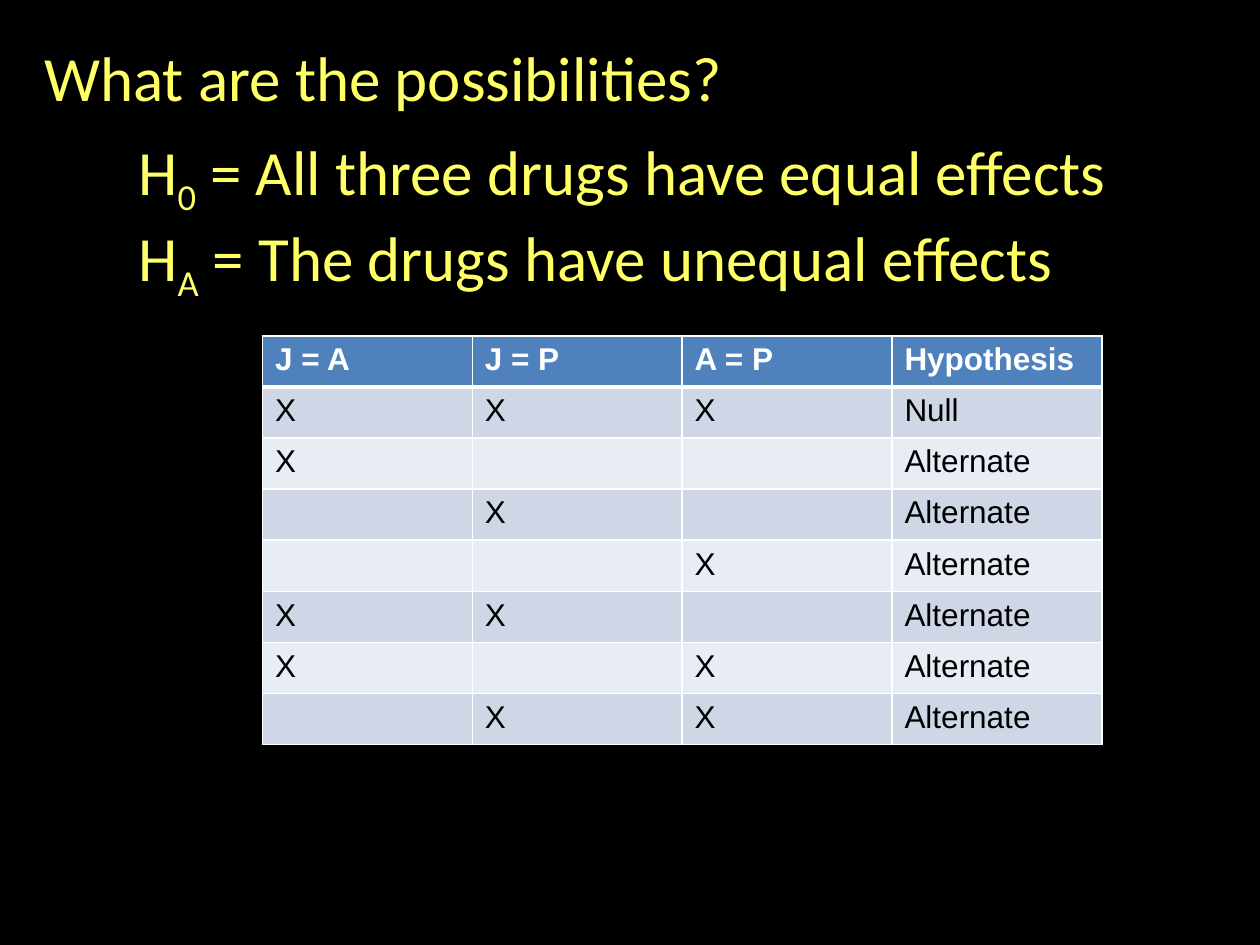
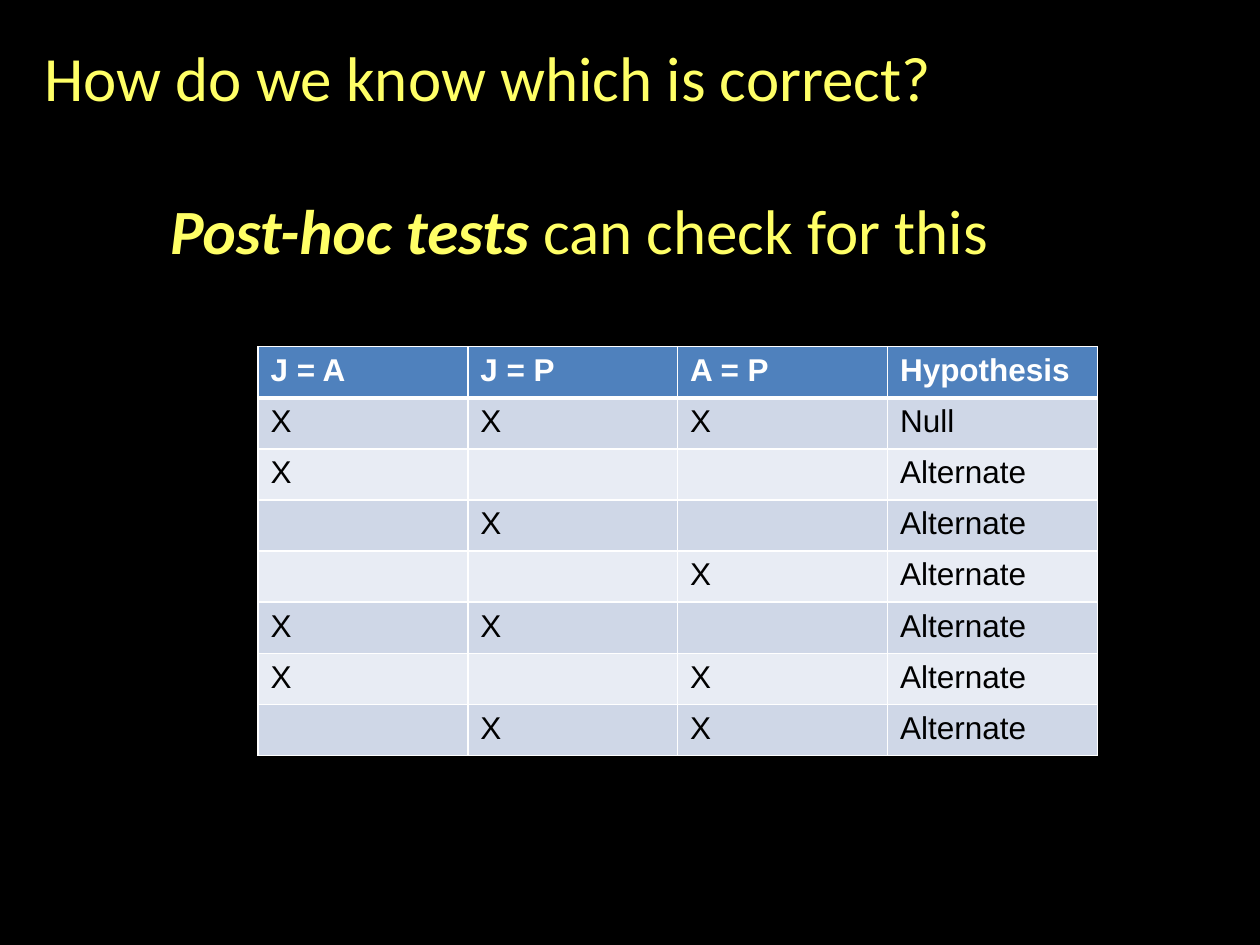
from lxml import etree
from pptx import Presentation, util as u
from pptx.dml.color import RGBColor
from pptx.enum import text
from pptx.oxml import ns

BLACK = RGBColor(0x00, 0x00, 0x00)
WHITE = RGBColor(0xFF, 0xFF, 0xFF)
YELLOW = RGBColor(0xFF, 0xFF, 0x66)
HEADER_BLUE = RGBColor(0x4F, 0x81, 0xBD)
BANDS = [RGBColor(0xCF, 0xD7, 0xE7), RGBColor(0xE8, 0xEC, 0xF4)]

HEADLINE_FONT = {"name": "Calibri", "size": u.Pt(36)}
CELL_FONT = {"name": "Arial", "size": u.Pt(18)}
STRONG = {"bold": True, "italic": True}
SUBSCRIPT = {"baseline": "-25000"}
COLUMN_WIDTH, ROW_HEIGHT = u.Cm(4.23), u.Cm(1.03)

HYPOTHESES = [
    ["J = A", "J = P", "A = P", "Hypothesis"],
    ["X", "X", "X", "Null"],
    ["X", "", "", "Alternate"],
    ["", "X", "", "Alternate"],
    ["", "", "X", "Alternate"],
    ["X", "X", "", "Alternate"],
    ["X", "", "X", "Alternate"],
    ["", "X", "X", "Alternate"],
]

# Boxes are left, top, width, height in centimetres; lines are lists of spans.
PAGES = [
    {
        "title": "What are the possibilities?",
        "box": (2.54, 2.54, 22.45, 3.33),
        "lines": [
            [("H", {}), ("0", SUBSCRIPT), (" = All three drugs have equal effects", {})],
            [("H", {}), ("A", SUBSCRIPT), (" = The drugs have unequal effects", {})],
        ],
        "table_at": (5.29, 6.77),
    },
    {
        "title": "How do we know which is correct?",
        "box": (3.18, 3.73, 17.88, 1.8),
        "lines": [[("Post-hoc tests ", STRONG), ("can check for this", {})]],
        "table_at": (5.2, 6.99),
    },
]


def write(para, spans, base, color):
    """Add formatted spans to a left-aligned paragraph."""
    para.alignment = text.PP_ALIGN.LEFT
    for words, extra in spans:
        span = para.add_run()
        span.text = words
        span.font.color.rgb = color
        for name, value in {**base, **extra}.items():
            if name == "baseline":
                span._r.get_or_add_rPr().set(name, value)
            else:
                setattr(span.font, name, value)


def add_border(cell, side, points):
    line = etree.SubElement(cell._tc.get_or_add_tcPr(), ns.qn(f"a:ln{side}"), w=str(u.Pt(points)))
    fill = etree.SubElement(line, ns.qn("a:solidFill"))
    etree.SubElement(fill, ns.qn("a:srgbClr"), val=str(WHITE))


deck = Presentation()
deck.slide_width, deck.slide_height = u.Cm(25.4), u.Cm(19.05)
backdrop = deck.slide_master.background.fill
backdrop.solid()
backdrop.fore_color.rgb = BLACK

for content in PAGES:
    page = deck.slides.add_slide(deck.slide_layouts[5])
    title = page.shapes.title
    title.left, title.top, title.width, title.height = map(u.Cm, (0.64, 0.64, 23, 1.8))
    box = page.shapes.add_textbox(*map(u.Cm, content["box"]))
    title_lines = [[(content["title"], {})]]
    for shape, lines in ((title, title_lines), (box, content["lines"])):
        frame = shape.text_frame
        frame.word_wrap = True
        frame.auto_size = text.MSO_AUTO_SIZE.NONE
        frame.vertical_anchor = text.MSO_ANCHOR.TOP
        for number, spans in enumerate(lines):
            para = frame.add_paragraph() if number else frame.paragraphs[0]
            write(para, spans, HEADLINE_FONT, YELLOW)

    row_count, column_count = len(HYPOTHESES), len(HYPOTHESES[0])
    left, top = map(u.Cm, content["table_at"])
    table = page.shapes.add_table(row_count, column_count, left, top,
                                  COLUMN_WIDTH * column_count, ROW_HEIGHT * row_count).table
    for column in table.columns:
        column.width = COLUMN_WIDTH
    for r, row in enumerate(HYPOTHESES):
        table.rows[r].height = ROW_HEIGHT
        is_header = r == 0
        for c, words in enumerate(row):
            cell = table.cell(r, c)
            for side in "LRTB":
                under_header = (r, side) in ((0, "B"), (1, "T"))
                add_border(cell, side, 3 if under_header else 1)
            cell.fill.solid()
            cell.fill.fore_color.rgb = HEADER_BLUE if is_header else BANDS[(r - 1) % 2]
            if words:
                write(cell.text_frame.paragraphs[0], [(words, {"bold": is_header})],
                      CELL_FONT, WHITE if is_header else BLACK)

deck.save("out.pptx")
